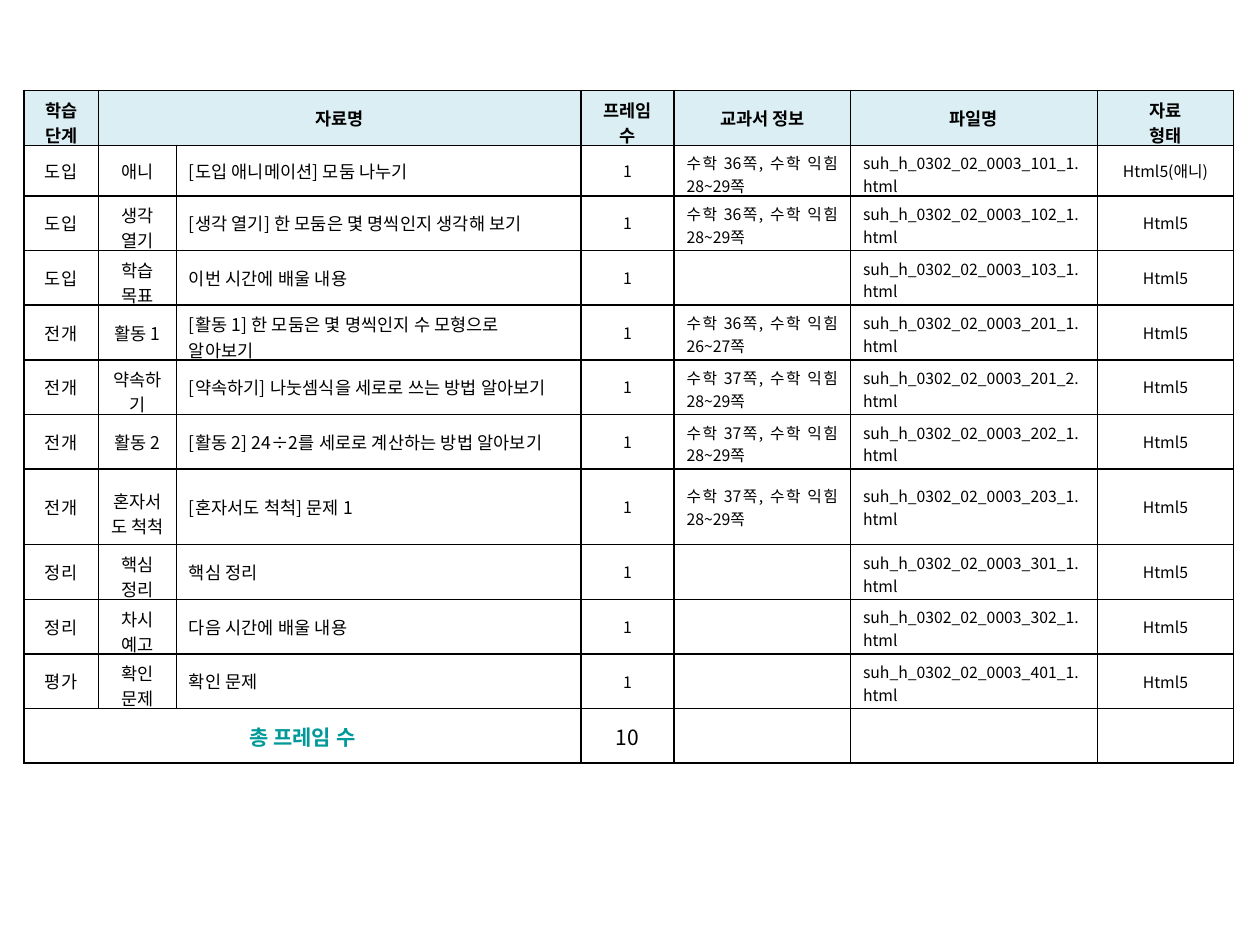
"""Build a lesson material list as one table slide."""
from lxml import etree
from pptx import Presentation
from pptx.dml.color import RGBColor
from pptx.enum import text
from pptx.oxml import ns
from pptx.util import Inches, Pt

THEME = {
    "font": "Noto Sans CJK KR", "ink": "000000", "head": "DBEEF4", "total": "009999",
    "body": 10, "small": 9, "large": 12, "line": 1, "pad": 0.05, "pitch": 1.45,
    "track": "12",
}
HEAD = ["학습 단계", "자료명", "", "프레임 수", "교과서 정보", "파일명", "자료\n형태"]
ROWS = [
    ("도입", "애니", "[도입 애니메이션] 모둠 나누기", "36", "28~29", "101_1"),
    ("도입", "생각 열기", "[생각 열기] 한 모둠은 몇 명씩인지 생각해 보기", "36", "28~29", "102_1"),
    ("도입", "학습 목표", "이번 시간에 배울 내용", "", "", "103_1"),
    ("전개", "활동 1", "[활동 1] 한 모둠은 몇 명씩인지 수 모형으로 알아보기", "36", "26~27", "201_1"),
    ("전개", "약속하기", "[약속하기] 나눗셈식을 세로로 쓰는 방법 알아보기", "37", "28~29", "201_2"),
    ("전개", "활동 2", "[활동 2] 24÷2를 세로로 계산하는 방법 알아보기", "37", "28~29", "202_1"),
    ("전개", "혼자서도 척척", "[혼자서도 척척] 문제 1", "37", "28~29", "203_1"),
    ("정리", "핵심 정리", "핵심 정리", "", "", "301_1"),
    ("정리", "차시 예고", "다음 시간에 배울 내용", "", "", "302_1"),
    ("평가", "확인 문제", "확인 문제", "", "", "401_1"),
]
TOTAL = ["총 프레임 수", "", "", str(len(ROWS)), "", "", ""]
COLS = [0.59, 0.62, 3.21, 0.74, 1.4, 1.96, 1.08]
TALL = 5.33
HIGH = {1: 0.4, 7: 0.6}
LINES = {(0, 0): 2, (0, 3): 2, (0, 6): 2, (4, 2): 2, (7, 1): 3}
LINES.update({(r, 1): 2 for r in (2, 3, 5, 8, 9, 10)})
LINES.update({(r, c): 2 for r in range(1, 11) for c in (4, 5)})
ALIGN = dict(zip("clj", (text.PP_ALIGN.CENTER, text.PP_ALIGN.LEFT, text.PP_ALIGN.JUSTIFY)))


def border(cell):
    props = cell._tc.get_or_add_tcPr()
    for spot, side in enumerate(("lnL", "lnR", "lnT", "lnB")):
        line = etree.Element(ns.qn("a:" + side), w=str(Pt(THEME["line"])))
        fill = etree.SubElement(line, ns.qn("a:solidFill"))
        etree.SubElement(fill, ns.qn("a:srgbClr"), val=THEME["ink"])
        props.insert(spot, line)


def fit(cell, high, lines, size):
    room = high - THEME["pad"] - lines * THEME[size] * THEME["pitch"] / 72
    cell.margin_bottom = Inches(min(THEME["pad"], room))


def write(cell, words, size="body", bold=False, ink="ink", align="c"):
    cell.vertical_anchor = text.MSO_ANCHOR.MIDDLE
    for spot, part in enumerate(words.split("\n") if words else []):
        frame = cell.text_frame
        para = frame.add_paragraph() if spot else frame.paragraphs[0]
        para.alignment = ALIGN[align]
        run = para.add_run()
        run.text = part
        font = run.font
        font.name, font.size, font.bold = THEME["font"], Pt(THEME[size]), bold
        font.color.rgb = RGBColor.from_string(THEME[ink])
        props = run._r.get_or_add_rPr()
        if size == "body" and not bold:
            props.set("spc", THEME["track"])
        etree.SubElement(props, ns.qn("a:ea")).set("typeface", THEME["font"])


def expand(row):
    stage, kind, title, page, drill, code = row
    book = f"수학 {page}쪽, 수학 익힘 {drill}쪽" if page else ""
    form = "Html5(애니)" if kind == "애니" else "Html5"
    return [stage, kind, title, "1", book, f"suh_h_0302_02_0003_{code}.html", form]


def main():
    deck = Presentation()
    deck.slide_width, deck.slide_height = Inches(10), Inches(7.5)
    slide = deck.slides.add_slide(deck.slide_layouts[6])
    grid = [HEAD, *map(expand, ROWS), TOTAL]
    last = len(grid) - 1
    even = (TALL - sum(HIGH.values())) / (len(grid) - len(HIGH))
    table = slide.shapes.add_table(
        len(grid), len(COLS), Inches(0.19), Inches(0.72),
        Inches(sum(COLS)), Inches(TALL)).table
    table.first_row = table.horz_banding = False
    for col, width in zip(table.columns, COLS):
        col.width = Inches(width)
    for r, row in enumerate(grid):
        high = HIGH.get(r, even)
        table.rows[r].height = Inches(high)
        for c, words in enumerate(row):
            cell = table.cell(r, c)
            cell.fill.background()
            size = "small" if r and c > 2 else "body"
            if r == 0:
                cell.fill.solid()
                cell.fill.fore_color.rgb = RGBColor.from_string(THEME["head"])
                write(cell, words, bold=True)
            elif r == last:
                write(cell, words, "large", c == 0, "ink" if c else "total")
            else:
                write(cell, words, size, align="cclcjjc"[c])
            if words and (r, c) in LINES:
                fit(cell, high, LINES[r, c], size)
            border(cell)
    table.cell(0, 1).merge(table.cell(0, 2))
    table.cell(last, 0).merge(table.cell(last, 2))
    deck.save("out.pptx")


if __name__ == "__main__":
    main()
